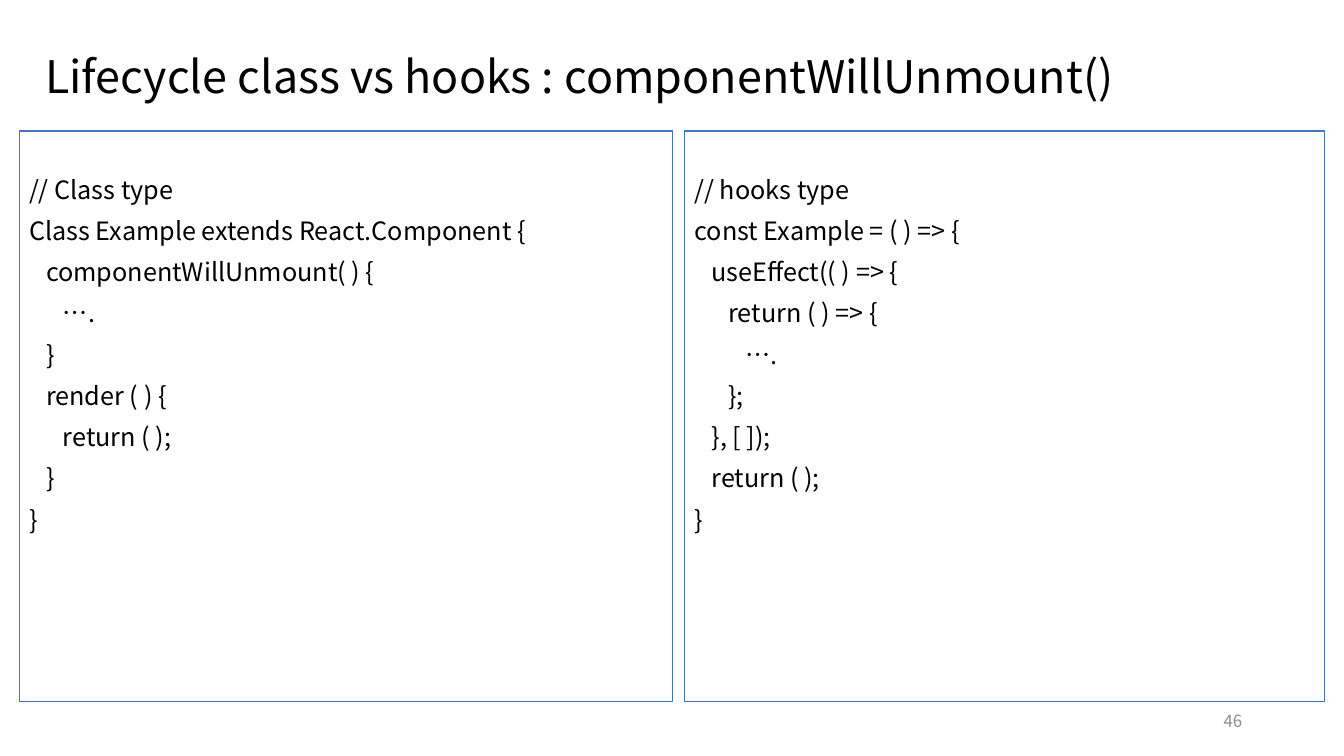
from dataclasses import dataclass

from lxml.etree import SubElement
from pptx import Presentation
from pptx.dml.color import RGBColor
from pptx.enum.shapes import MSO_SHAPE
from pptx.enum.text import MSO_ANCHOR, PP_ALIGN
from pptx.oxml.ns import qn
from pptx.slide import Slide
from pptx.text.text import _Paragraph
from pptx.util import Inches, Pt

FONT = "Noto Sans CJK KR"
BLACK = RGBColor(0x00, 0x00, 0x00)
GRAY = RGBColor(0x8C, 0x8C, 0x8C)
BLUE = RGBColor(0x44, 0x72, 0xC4)
PANEL_TOP = 1.3
PANEL_HEIGHT = 5.66


@dataclass
class Label:
    text: str
    left: float
    top: float
    width: float
    height: float
    size: int
    color: RGBColor
    align: PP_ALIGN
    line_spacing: float


@dataclass
class CodePanel:
    left: float
    width: float
    code: str


LABELS = [
    Label("Lifecycle class vs hooks : componentWillUnmount()",
          0.35, 0.4, 12.66, 0.77, 32, BLACK, PP_ALIGN.LEFT, 0.9),
    Label("46", 9.42, 6.95, 3, 0.4, 12, GRAY, PP_ALIGN.RIGHT, 1.0),
]

CLASS_CODE = """// Class type
Class Example extends React.Component {
   componentWillUnmount( ) {
      ….
   }
   render ( ) {
      return ( );
   }
}"""

HOOKS_CODE = """// hooks type
const Example = ( ) => {
   useEffect(( ) => {
      return ( ) => {
         ….
      };
   }, [ ]);
   return ( );
}"""

PANELS = [
    CodePanel(0.19, 6.48, CLASS_CODE),
    CodePanel(6.79, 6.35, HOOKS_CODE),
]


def add_span(para: _Paragraph, text: str, size: int, color: RGBColor) -> None:
    span = para.add_run()
    span.text = text
    span.font.size = Pt(size)
    span.font.name = FONT
    span.font.color.rgb = color
    east_asian = SubElement(span.font._element, qn("a:ea"))
    east_asian.set("typeface", FONT)


def add_label(page: Slide, label: Label) -> None:
    box = page.shapes.add_textbox(Inches(label.left), Inches(label.top),
                                  Inches(label.width), Inches(label.height))
    frame = box.text_frame
    frame.word_wrap = True
    frame.vertical_anchor = MSO_ANCHOR.MIDDLE
    para = frame.paragraphs[0]
    para.alignment = label.align
    para.line_spacing = label.line_spacing
    add_span(para, label.text, label.size, label.color)


def add_panel(page: Slide, panel: CodePanel) -> None:
    box = page.shapes.add_shape(MSO_SHAPE.RECTANGLE, Inches(panel.left), Inches(PANEL_TOP),
                                Inches(panel.width), Inches(PANEL_HEIGHT))
    box.shadow.inherit = False
    box.fill.background()
    box.line.color.rgb = BLUE
    box.line.width = Pt(0.75)
    frame = box.text_frame
    frame.word_wrap = True
    frame.vertical_anchor = MSO_ANCHOR.TOP
    frame.margin_top = Inches(0.46)
    for index, line in enumerate(panel.code.splitlines()):
        para = frame.add_paragraph() if index else frame.paragraphs[0]
        para.alignment = PP_ALIGN.LEFT
        para.line_spacing = 0.9
        para.space_before = Pt(10 if index else 0)
        add_span(para, line, 18, BLACK)


def main() -> None:
    deck = Presentation()
    deck.slide_width = Inches(13.33)
    deck.slide_height = Inches(7.5)
    page = deck.slides.add_slide(deck.slide_layouts[6])
    for label in LABELS:
        add_label(page, label)
    for panel in PANELS:
        add_panel(page, panel)
    deck.save("out.pptx")


if __name__ == "__main__":
    main()
